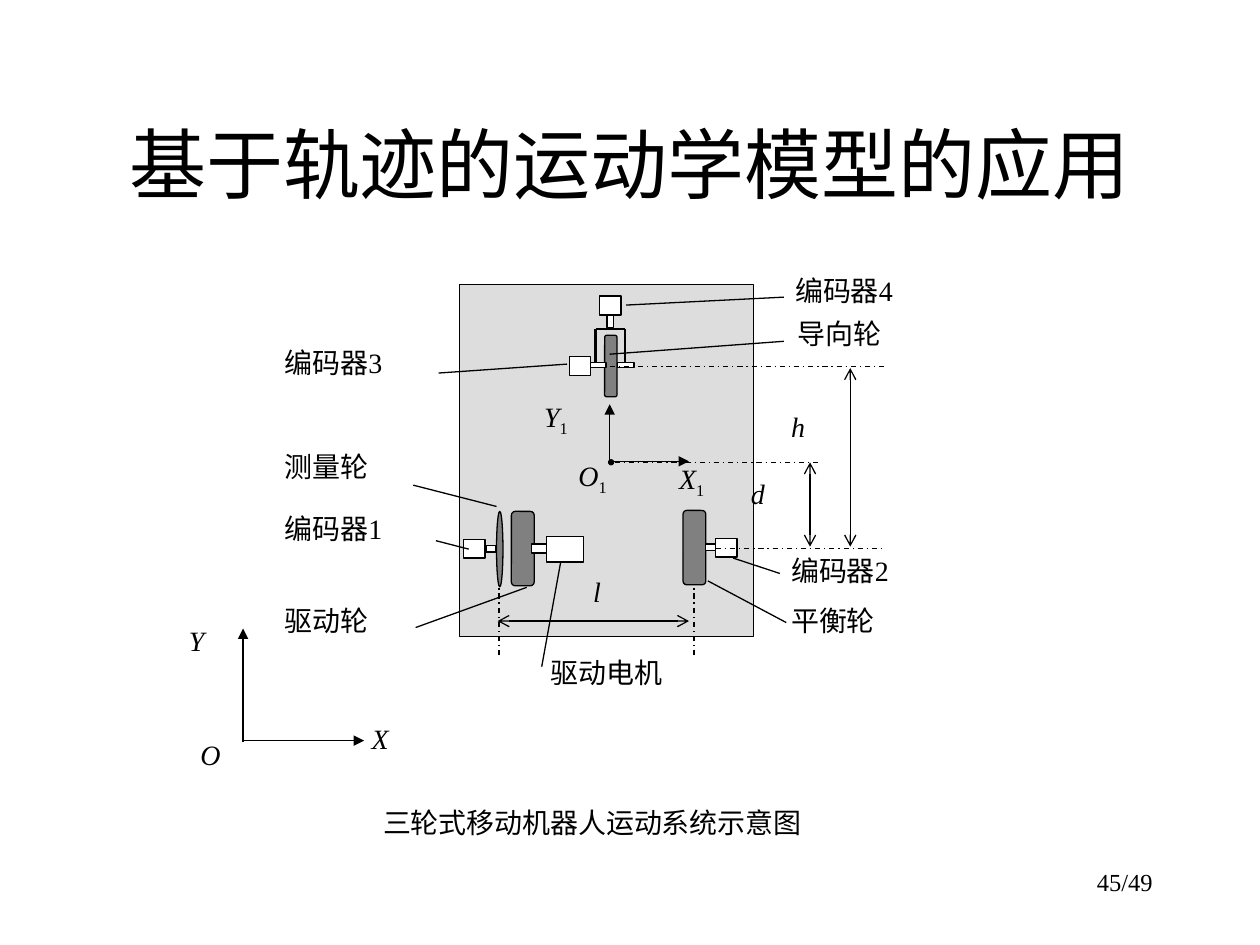
from lxml.etree import SubElement
from pptx import Presentation
from pptx.dml.color import RGBColor
from pptx.enum.dml import MSO_LINE
from pptx.enum.shapes import MSO_CONNECTOR, MSO_SHAPE as Preset
from pptx.enum.text import MSO_ANCHOR as Anchor, PP_ALIGN as Align
from pptx.oxml.ns import qn
from pptx.util import Cm, Pt

BLACK = RGBColor(0, 0, 0)
WHITE = RGBColor(0xFF, 0xFF, 0xFF)
BODY_GREY = RGBColor(0xDD, 0xDD, 0xDD)
WHEEL_GREY = RGBColor(0x80, 0x80, 0x80)
FONT = "Times New Roman"
ROBOT = (9.27, 5.74, 5.92, 7.09)
WORLD = (3.81, 12.57, 5.05, 3.2)
SYMBOL_SIZE = (1.37, 0.89)


def add_text(page, box, text, size=16, align=Align.JUSTIFY, anchor=Anchor.TOP,
             margins=(0, 0), italic=False, subscript=""):
    """Place one line of text, with an optional upright subscript."""
    frame = page.shapes.add_textbox(*map(Cm, box)).text_frame
    frame.word_wrap = True
    frame.vertical_anchor = anchor
    frame.margin_left = frame.margin_right = Cm(margins[0])
    frame.margin_top = frame.margin_bottom = Cm(margins[1])
    para = frame.paragraphs[0]
    para.text = text
    para.alignment = align
    para.runs[0].font.italic = italic
    if subscript:
        span = para.add_run()
        span.text = subscript
        span._r.get_or_add_rPr().set("baseline", "-25000")
    for span in para.runs:
        span.font.name = FONT
        span.font.size = Pt(size)
        span.font.color.rgb = BLACK


def add_part(page, origin, box, fill=WHITE, preset=Preset.RECTANGLE):
    """Place a thinly outlined part relative to the origin."""
    left, top, width, height = box
    part = page.shapes.add_shape(preset, Cm(origin[0] + left), Cm(origin[1] + top),
                                 Cm(width), Cm(height))
    part.shadow.inherit = False
    part.fill.solid()
    part.fill.fore_color.rgb = fill
    part.line.color.rgb = BLACK
    part.line.width = Pt(0.75)


def add_line(page, origin, ends, width=0.75, dash=None, head=None, tail=None):
    """Draw a straight line relative to the origin, with optional arrowheads."""
    x, y = origin[:2]
    x1, y1, x2, y2 = ends
    line = page.shapes.add_connector(MSO_CONNECTOR.STRAIGHT, Cm(x + x1), Cm(y + y1),
                                     Cm(x + x2), Cm(y + y2))
    line.line.color.rgb = BLACK
    line.line.width = Pt(width)
    if dash:
        line.line.dash_style = dash
    outline = line.line._get_or_add_ln()
    for tag, kind in (("a:headEnd", head), ("a:tailEnd", tail)):
        if kind:
            SubElement(outline, qn(tag)).set("type", kind)
    SubElement(line._element.spPr, qn("a:effectLst"))


def add_symbol(page, origin, left, top, text, subscript="", size=SYMBOL_SIZE):
    """Write an italic symbol relative to the origin."""
    add_text(page, (origin[0] + left, origin[1] + top, *size), text,
             italic=True, subscript=subscript)


def draw_robot(page, box):
    """Draw the chassis, its wheels, shafts, motor and encoders."""
    add_part(page, box, (0, 0, *box[2:]), BODY_GREY)
    add_part(page, box, (0.74, 4.57, 0.13, 1.52), WHEEL_GREY, Preset.OVAL)
    drive, balance = (1.04, 4.57, 0.46, 1.5), (4.5, 4.55, 0.46, 1.5)
    steering = (2.92, 1.02, 0.25, 1.24)
    for wheel in (drive, balance, steering):
        add_part(page, box, wheel, WHEEL_GREY, Preset.FLOWCHART_ALTERNATE_PROCESS)
    shafts = ((1.45, 5.23, 0.33, 0.18), (0.53, 5.26, 0.2, 0.13), (4.95, 5.23, 0.2, 0.13),
              (2.62, 1.57, 0.33, 0.1), (3.18, 1.57, 0.33, 0.1), (2.97, 0.58, 0.13, 0.28))
    motor = (1.75, 5.08, 0.74, 0.51)
    for part in (*shafts, motor):
        add_part(page, box, part)
    for left, top in ((0.08, 5.13), (5.16, 5.11), (2.21, 1.45), (2.82, 0.23)):
        add_part(page, box, (left, top, 0.43, 0.38))
    for fork_side in ((2.74, 0.89, 2.74, 1.57), (2.74, 0.89, 3.33, 0.89),
                      (3.33, 0.89, 3.33, 1.57)):
        add_line(page, box, fork_side, width=1.5)


def draw_dimensions(page, box):
    """Draw the centre lines and the measures l, d and h around the robot."""
    for ends in ((0.79, 7.47, 0.79, 6.05), (4.72, 7.47, 4.72, 6.05),
                 (5.16, 5.31, 8.51, 5.31), (3.12, 3.58, 7.29, 3.58),
                 (3.02, 1.65, 8.61, 1.65)):
        add_line(page, box, ends, dash=MSO_LINE.DASH_DOT)
    for name, left, top, ends in (
            ("l", 2.69, 5.84, (0.76, 6.78, 4.62, 6.78)),
            ("d", 5.87, 3.86, (7.06, 3.58, 7.06, 5.28)),
            ("h", 6.68, 2.51, (7.87, 1.68, 7.87, 5.28))):
        add_line(page, box, ends, head="arrow", tail="arrow")
        add_symbol(page, box, left, top, name, size=(1.1, 0.8))


def draw_robot_frame(page, box):
    """Draw the moving axes X1 and Y1 on the chassis."""
    add_part(page, box, (3, 3.53, 0.1, 0.1), BLACK, Preset.OVAL)
    for ends in ((3.1, 3.56, 4.62, 3.56), (3.02, 3.56, 3.02, 2.41)):
        add_line(page, box, ends, tail="triangle")
    for name, left, top in (("O", 2.39, 3.51), ("X", 4.42, 3.56), ("Y", 1.7, 2.31)):
        add_symbol(page, box, left, top, name, subscript="1")


def draw_world_frame(page, box):
    """Draw the fixed axes X and Y."""
    for ends in ((1.09, 2.39, 1.09, 0.1), (1.09, 2.36, 3.53, 2.36)):
        add_line(page, box, ends, tail="triangle")
    for name, left, top in (("O", 0.23, 2.29), ("X", 3.68, 1.98), ("Y", 0, 0)):
        add_symbol(page, box, left, top, name)


def draw_callouts(page, box):
    """Name the parts of the robot, each with its leader line."""
    left_side, right_side = -3.53, 6.68
    for name, left, top, width, height, leader in (
            ("驱动电机", 1.83, 7.47, 3.23, 1.14, (1.65, 7.7, 2.03, 5.61)),
            ("驱动轮", left_side, 6.43, 3.3, 1.14, (-0.89, 6.91, 1.35, 6.1)),
            ("平衡轮", right_side, 6.43, 2.9, 0.99, (6.58, 6.81, 5, 5.97)),
            ("测量轮", left_side, 3.33, 3.2, 1.12, (-0.94, 4.04, 0.74, 4.47)),
            ("编码器1", left_side, 4.57, 3.23, 1.04, (-0.48, 5.16, 0.18, 5.33)),
            ("编码器2", right_side, 5.41, 3.56, 1.04, (6.45, 5.82, 5.51, 5.51)),
            ("编码器3", left_side, 1.22, 2.92, 0.94, (-0.43, 1.78, 2.16, 1.6)),
            ("编码器4", 6.76, -0.23, 3.43, 0.97, (6.53, 0.25, 3.35, 0.41)),
            ("导向轮", 6.81, 0.64, 2.64, 0.97, (6.53, 1.14, 3.02, 1.4))):
        add_line(page, box, leader)
        add_text(page, (box[0] + left, box[1] + top, width, height), name)


def build_deck():
    """Build the one-page deck and save it."""
    deck = Presentation()
    deck.slide_width, deck.slide_height = Cm(25.4), Cm(19.05)
    page = deck.slides.add_slide(deck.slide_layouts[6])
    add_text(page, (18.21, 17.35, 5.28, 1.27), "45/49", 14, Align.RIGHT,
             margins=(0.25, 0.13))
    add_text(page, (1.9, 1.7, 21.6, 3.18), "基于轨迹的运动学模型的应用", 44,
             Align.CENTER, Anchor.MIDDLE, (0.25, 0.13))
    draw_robot(page, ROBOT)
    draw_dimensions(page, ROBOT)
    draw_robot_frame(page, ROBOT)
    draw_callouts(page, ROBOT)
    draw_world_frame(page, WORLD)
    add_text(page, (4.78, 16.1, 14.33, 1.22), "三轮式移动机器人运动系统示意图",
             align=Align.CENTER, margins=(0.05, 0.13))
    deck.save("out.pptx")


build_deck()
